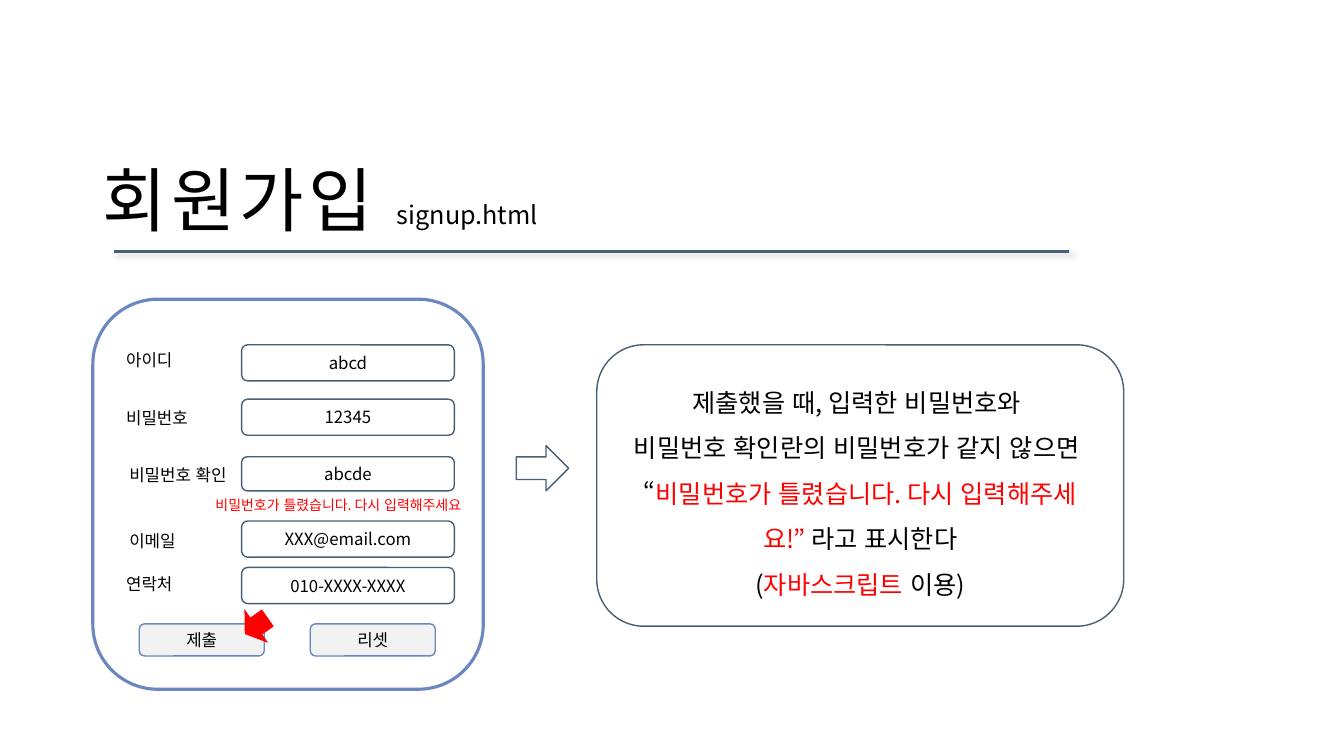
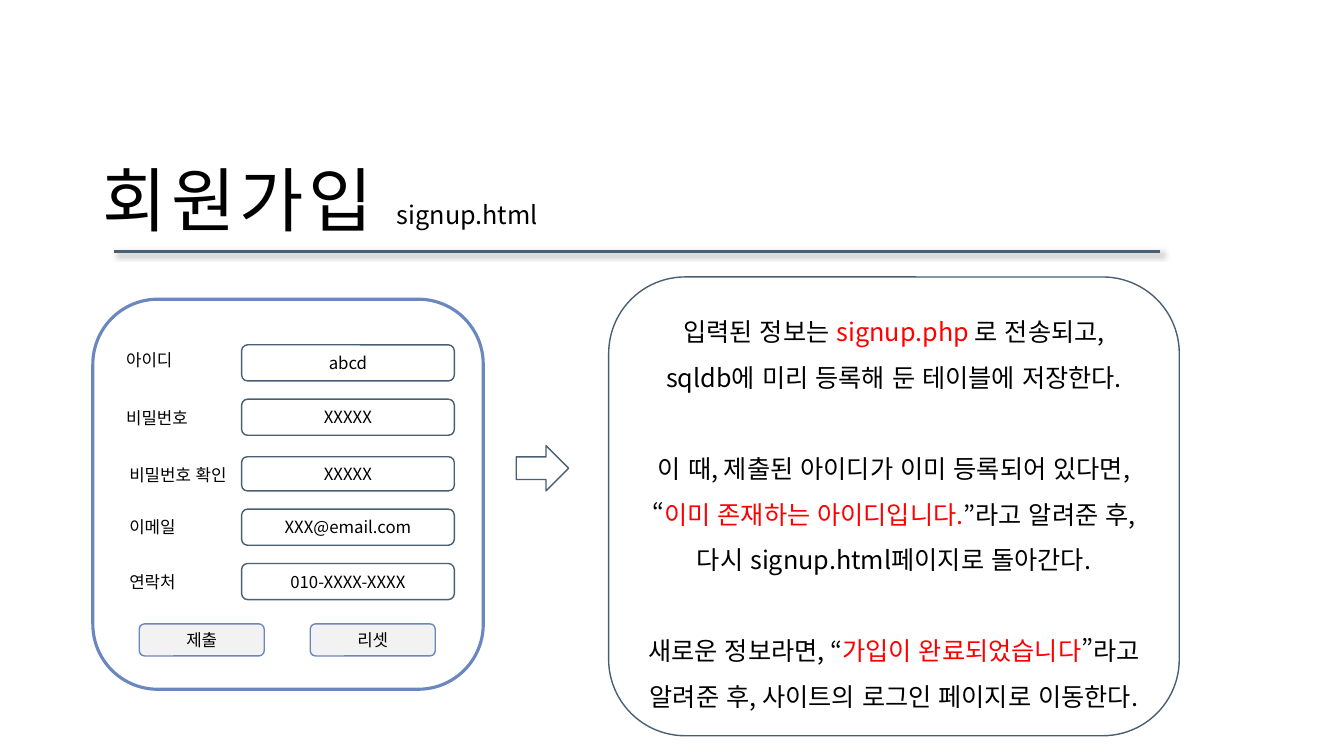
from lxml import etree
from pptx import Presentation, util as u
from pptx.dml.color import RGBColor
from pptx.enum import lang, shapes, text
from pptx.oxml.ns import qn

FONT = "Noto Sans CJK KR"
BLACK, RED, SLATE, BLUE, GREY = "000000", "FF0000", "495F73", "6B87BF", "F2F2F2"
SHAPE = shapes.MSO_SHAPE
LEFT, MID = text.PP_ALIGN.LEFT, text.PP_ALIGN.CENTER
PITCH = 32.5  # line height of the notes, in points
FIELD_LEFT, FIELD_WIDE = 6.09, 5.36
LABEL_WIDE, LABEL_HIGH = 3.15, 0.76


def rgb(code):
    return RGBColor.from_string(code)


def place(*sizes):
    return [u.Cm(size) for size in sizes]


def add_run(para, words, size, color, track):
    run = para.add_run()
    run.text = words
    run.font.size = u.Pt(size)
    run.font.name = FONT
    run.font.language_id = lang.MSO_LANGUAGE_ID.KOREAN
    run.font.color.rgb = rgb(color)
    props = run.font._element
    etree.SubElement(props, qn("a:ea"), typeface=FONT)
    if track:
        props.set("spc", str(track * 100))


def write(frame, lines, size=12, color=BLACK, align=LEFT, pitch=None,
          track=0, gaps=(), inset=0.25):
    """Fill a frame: * toggles red, | breaks a line, gaps lists lines that follow a space."""
    frame.word_wrap = True
    frame.vertical_anchor = text.MSO_ANCHOR.MIDDLE
    frame.margin_left = frame.margin_right = u.Cm(inset)
    for row, line in enumerate(lines):
        para = frame.paragraphs[0] if row == 0 else frame.add_paragraph()
        para.alignment = align
        if pitch:
            para.line_spacing = pitch
        if row in gaps:
            para.space_before = u.Pt(PITCH)
        for part, words in enumerate(line.split("*")):
            for turn, piece in enumerate(words.split("|")):
                if turn:
                    para.add_line_break()
                if piece:
                    add_run(para, piece, size, RED if part % 2 else color, track)


def label(slide, box, words, **form):
    write(slide.shapes.add_textbox(*place(*box)).text_frame, [words], **form)


def shape(slide, kind, box, fill=None, line=SLATE, width=1):
    item = slide.shapes.add_shape(kind, *place(*box))
    item.shadow.inherit = False
    if fill:
        item.fill.solid()
        item.fill.fore_color.rgb = rgb(fill)
    else:
        item.fill.background()
    if line:
        item.line.color.rgb = rgb(line)
        item.line.width = u.Pt(width)
    else:
        item.line.fill.background()
    return item


def round_box(slide, box, lines=(), fill=None, line=SLATE, width=1, **form):
    item = shape(slide, SHAPE.ROUNDED_RECTANGLE, box, fill, line, width)
    write(item.text_frame, lines, align=MID, **form)


def rule(slide, end):
    """Draw the shadowed line under the title."""
    line = slide.shapes.add_connector(
        shapes.MSO_CONNECTOR.STRAIGHT, *place(2.87, 6.33, end, 6.33))
    line.line.color.rgb = rgb(SLATE)
    line.line.width = u.Pt(2.25)
    effects = etree.SubElement(line._element.spPr, qn("a:effectLst"))
    shadow = etree.SubElement(
        effects, qn("a:outerShdw"), blurRad=str(u.Pt(4)), dist=str(u.Pt(3)),
        dir=str(45 * 60000), algn="tl", rotWithShape="0")
    color = etree.SubElement(shadow, qn("a:srgbClr"), val=BLACK)
    etree.SubElement(color, qn("a:alpha"), val="26000")


def form_panel(slide, rows):
    """Draw the sign-up form; a row is label, its left and top, value, top and height."""
    round_box(slide, (2.34, 7.54, 9.84, 9.83), line=BLUE, width=2.25)
    for name, left, high_up, value, top, high in rows:
        round_box(slide, (FIELD_LEFT, top, FIELD_WIDE, high), [value])
        label(slide, (left, high_up, LABEL_WIDE, LABEL_HIGH), name)
    for name, left in (("제출", 3.51), ("리셋", 7.82)):
        round_box(slide, (left, 15.72, 3.15, 0.81), [name], fill=GREY, line=BLUE)


def page(deck, end, rows):
    slide = deck.slides.add_slide(deck.slide_layouts[6])
    label(slide, (2.34, 3.3, 13.28, 3.68), "회원가입", size=50, pitch=0.9, track=3)
    label(slide, (9.75, 4.9, 4.5, 1.02), "signup.html", size=18)
    rule(slide, end)
    shape(slide, SHAPE.RIGHT_ARROW, (13.01, 11.23, 1.32, 1.14))
    form_panel(slide, rows)
    return slide


def note(slide, box, lines, **form):
    round_box(slide, box, lines, size=18, pitch=u.Pt(PITCH), **form)


def rows_for(first, second, mail, phone):
    """List the form rows; mail and phone give label left, label top and field top."""
    return [
        ("아이디", 2.93, 8.69, "abcd", 8.69, 0.91),
        ("비밀번호", 2.93, 10.14, first, 10.06, 0.91),
        ("비밀번호 확인", 3.01, 11.59, second, 11.51, 0.86),
        ("이메일", *mail[:2], "XXX@email.com", mail[2], 0.91),
        ("연락처", *phone[:2], "010-XXXX-XXXX", phone[2], 0.91),
    ]


def main():
    deck = Presentation()
    deck.slide_width, deck.slide_height = place(33.87, 19.05)

    check = page(deck, 26.95, rows_for(
        "12345", "abcde", (3.01, 13.26, 13.13), (2.93, 14.33, 14.3)))
    label(check, (5.18, 12.37, 7.19, 0.69),
          "비밀번호가 틀렸습니다. 다시 입력해주세요", size=10, color=RED)
    pointer = shape(check, SHAPE.DOWN_ARROW, (5.94, 15.42, 1.04, 0.71), RED, None)
    pointer.rotation = 54.9
    note(check, (15.04, 8.69, 13.28, 7.09), [
        "제출했을 때, 입력한 비밀번호와 ",
        "비밀번호 확인란의 비밀번호가 같지 않으면 ",
        "“*비밀번호가 틀렸습니다. 다시 입력해주세|요!” *라고 표시한다",
        "(*자바스크립트* 이용)",
    ])

    store = page(deck, 29.24, rows_for(
        "XXXXX", "XXXXX", (3.01, 12.9, 12.83), (3.01, 14.27, 14.2)))
    note(store, (15.34, 6.98, 14.38, 11.56), [
        "입력된 정보는 *signup.php *로 전송되고,",
        "sqldb에 미리 등록해 둔 테이블에 저장한다.",
        "이 때, 제출된 아이디가 이미 등록되어 있다면,",
        "“*이미 존재하는 아이디입니다.*”라고 알려준 후,|다시 signup.html페이지로 돌아간다.",
        "새로운 정보라면, “*가입이 완료되었습니다*”라고|"
        "알려준 후, 사이트의 로그인 페이지로 이동한다.",
    ], gaps=(2, 4), inset=0.1)

    deck.save("out.pptx")


if __name__ == "__main__":
    main()
